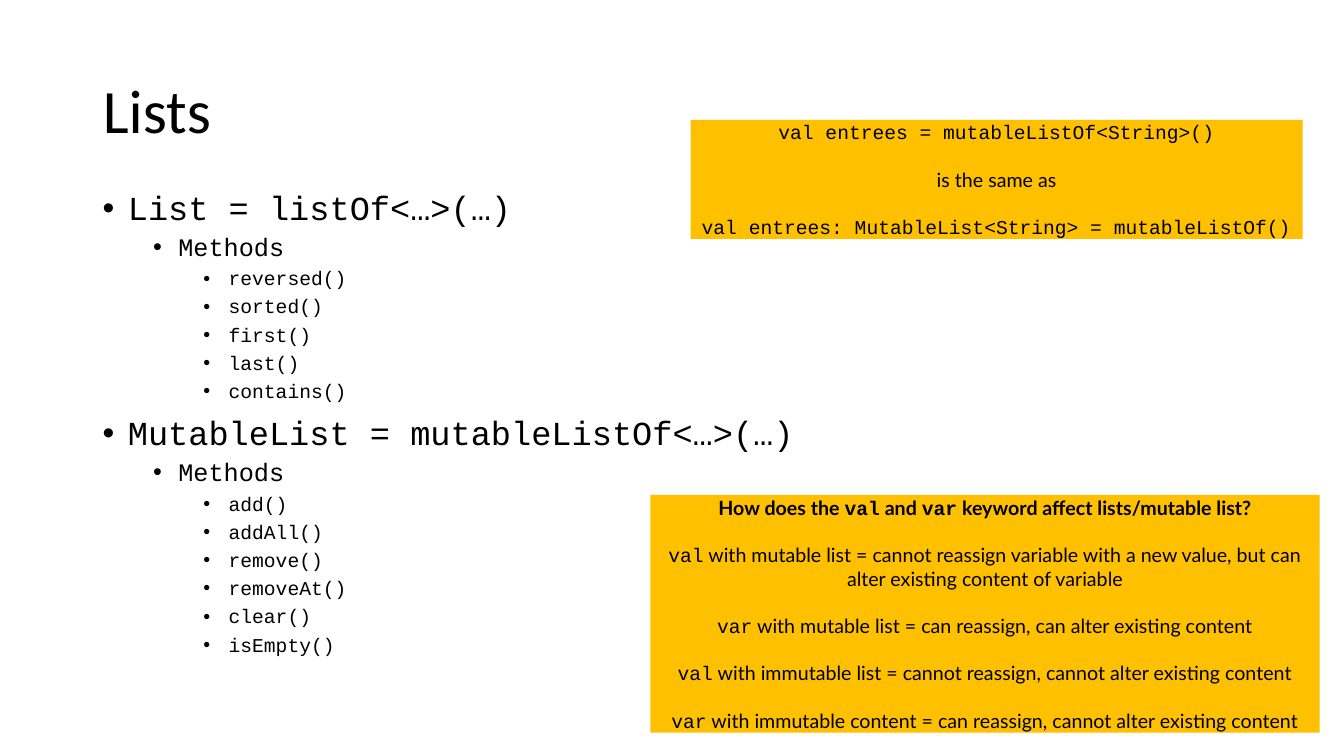
from dataclasses import dataclass

from lxml import etree
from pptx import Presentation, util as u
from pptx.dml.color import RGBColor
from pptx.enum import shapes, text
from pptx.oxml import ns

HUES = {"ink": "000000", "note": "FFC000"}
CODE, PROSE, HEAD = "Courier New", "Lato", "Calibri"
SIZES = (24, 18, 14)  # points per outline level
GAP = 17  # points between the paragraphs of a note


@dataclass
class Box:
    left: float
    top: float
    width: float
    height: float

    def spans(self) -> tuple:
        return tuple(map(u.Inches, (self.left, self.top, self.width, self.height)))


@dataclass
class Note:
    box: Box
    lines: list[str]  # code stands between backticks
    bold: bool = False  # whether the first line is bold


@dataclass
class Group:
    head: str
    calls: list[str]


TITLE = Box(0.92, 0.4, 11.5, 1.45)
BODY = Box(0.92, 1.85, 11.5, 4.76)
GROUPS = [
    Group("List = listOf<…>(…)",
          ["reversed()", "sorted()", "first()", "last()", "contains()"]),
    Group("MutableList = mutableListOf<…>(…)",
          ["add()", "addAll()", "remove()", "removeAt()", "clear()", "isEmpty()"]),
]
NOTES = [
    Note(Box(6.85, 1.19, 6.07, 1.18), [
        "`val entrees = mutableListOf<String>()`",
        "is the same as",
        "`val entrees: MutableList<String> = mutableListOf()`",
    ]),
    Note(Box(6.45, 4.91, 6.64, 2.36), [
        "How does the `val` and `var` keyword affect lists/mutable list?",
        "`val` with mutable list = cannot reassign variable with a new value, "
        "but can alter existing content of variable",
        "`var` with mutable list = can reassign, can alter existing content",
        "`val` with immutable list = cannot reassign, cannot alter existing content",
        "`var` with immutable content = can reassign, cannot alter existing content",
    ], bold=True),
]


def assign(item, **values) -> None:
    for name, value in values.items():
        setattr(item, name, value)


def write(para, words: str, face: str, size: int, bold: bool = False) -> None:
    run = para.add_run()
    run.text = words
    assign(run.font, name=face, size=u.Pt(size), bold=bold)
    run.font.color.rgb = RGBColor.from_string(HUES["ink"])


def next_para(frame, index: int):
    return frame.add_paragraph() if index else frame.paragraphs[0]


def add_title(slide, words: str) -> None:
    title = slide.shapes.title
    assign(title, **dict(zip(("left", "top", "width", "height"), TITLE.spans())))
    frame = title.text_frame
    assign(frame, vertical_anchor=text.MSO_ANCHOR.MIDDLE, word_wrap=True)
    para = frame.paragraphs[0]
    assign(para, alignment=text.PP_ALIGN.LEFT, line_spacing=0.9)
    write(para, words, HEAD, 44)


def add_bullet(para, level: int) -> None:
    props = para._p.get_or_add_pPr()
    props.set("marL", str(u.Inches(0.25 + 0.5 * level)))
    props.set("indent", str(u.Inches(-0.25)))
    etree.SubElement(props, ns.qn("a:buFont")).set("typeface", "Arial")
    etree.SubElement(props, ns.qn("a:buChar")).set("char", "•")


def add_outline(slide) -> None:
    frame = slide.shapes.add_textbox(*BODY.spans()).text_frame
    frame.word_wrap = True
    rows = [row for group in GROUPS
            for row in [(0, group.head), (1, "Methods"),
                        *((2, call) for call in group.calls)]]
    for index, (level, words) in enumerate(rows):
        para = next_para(frame, index)
        assign(para, level=level, line_spacing=0.9,
               space_before=u.Pt(5 if level else 10))
        add_bullet(para, level)
        write(para, words, CODE, SIZES[level])


def add_note(slide, note: Note) -> None:
    shape = slide.shapes.add_shape(shapes.MSO_SHAPE.RECTANGLE, *note.box.spans())
    shape.shadow.inherit = False
    shape.fill.solid()
    shape.fill.fore_color.rgb = RGBColor.from_string(HUES["note"])
    shape.line.fill.background()
    frame = shape.text_frame
    assign(frame, margin_left=0, margin_right=0, margin_top=0, margin_bottom=0,
           word_wrap=True, vertical_anchor=text.MSO_ANCHOR.MIDDLE)
    for index, line in enumerate(note.lines):
        para = next_para(frame, index)
        assign(para, alignment=text.PP_ALIGN.CENTER,
               space_before=u.Pt(GAP if index else 0))
        for turn, words in enumerate(line.split("`")):
            if words:
                write(para, words, CODE if turn % 2 else PROSE, 14,
                      note.bold and index == 0)


def main() -> None:
    deck = Presentation()
    assign(deck, slide_width=u.Inches(13.33), slide_height=u.Inches(7.5))
    slide = deck.slides.add_slide(deck.slide_layouts.get_by_name("Title Only"))
    add_title(slide, "Lists")
    add_outline(slide)
    for note in NOTES:
        add_note(slide, note)
    deck.save("out.pptx")


if __name__ == "__main__":
    main()
